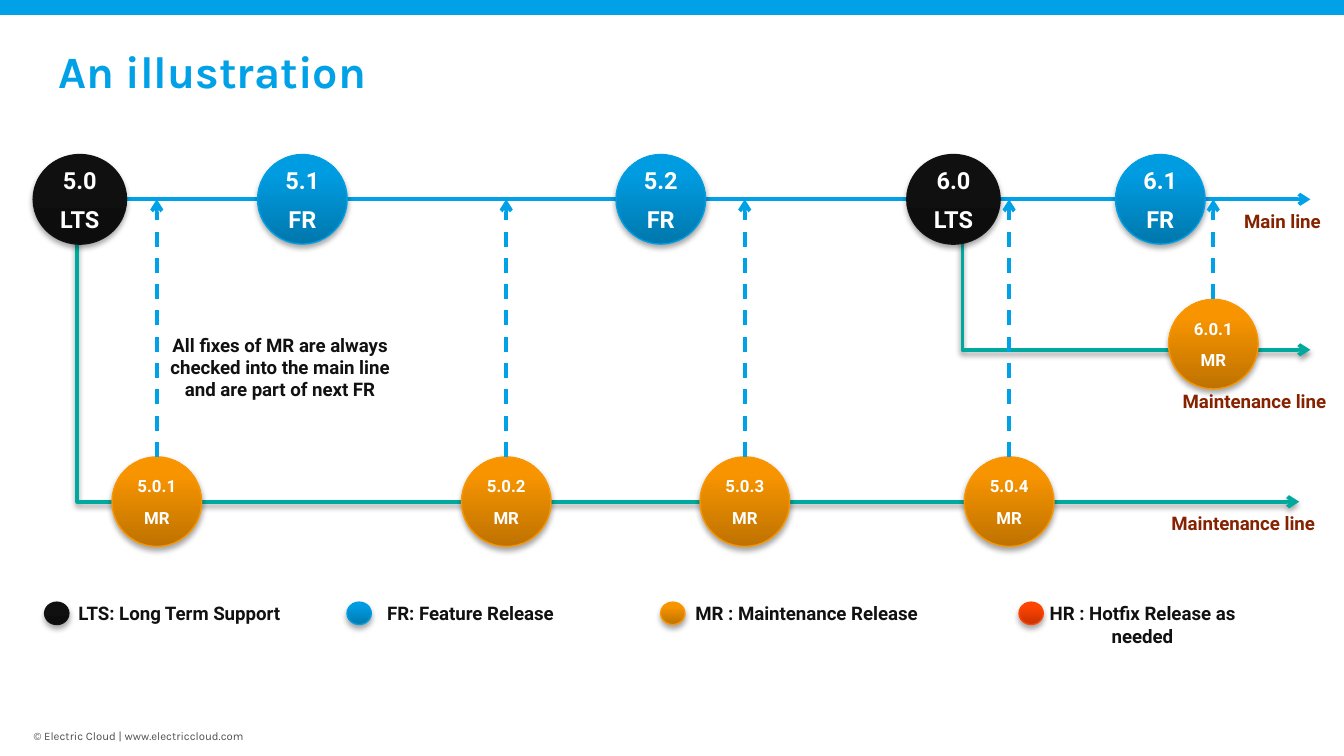
from lxml.etree import SubElement as Sub
from pptx import Presentation
from pptx.dml.color import RGBColor as RGB
from pptx.enum.dml import MSO_LINE as Dash
from pptx.enum.shapes import MSO_CONNECTOR as Con, MSO_SHAPE as Kind
from pptx.enum.text import MSO_ANCHOR as Anchor, PP_ALIGN as Align
from pptx.oxml.ns import qn
from pptx.util import Pt

BLUE, GREEN, BROWN, INK, WHITE = "01A1E7", "00A99D", "852200", "111111", "FFFFFF"
BALLS = {
    "LTS": ("0D0D0D", "101010", "111111"),
    "FR": ("0078AD", "009CE1", "009EE3"),
    "MR": ("BE7200", "F79400", "F99600"),
    "HR": ("C63200", "FF4303", "FF4505"),
}


def tint(code):
    return RGB.from_string(code)


class Board:
    """Draws styled elements on one slide, with lengths in points."""

    def __init__(self, deck):
        self.slide = deck.slides.add_slide(deck.slide_layouts[5])
        self.shapes = self.slide.shapes
        self.head, self.body = "Karla", "Roboto"

    def words(self, frame, lines, size, color, font, bold=True, align=Align.CENTER, gap=0):
        for i, line in enumerate(lines):
            para = frame.add_paragraph() if i else frame.paragraphs[0]
            para.alignment = align
            if i:
                para.space_before = Pt(gap)
            run = para.add_run()
            run.text = line
            run.font.name, run.font.size, run.font.bold = font, Pt(size), bold
            run.font.color.rgb = tint(color)

    def inset(self, frame, pad):
        frame.margin_left = frame.margin_right = Pt(pad)
        frame.margin_top = frame.margin_bottom = Pt(pad)

    def title(self, text, x, y, w, h):
        box = self.shapes.title
        box.left, box.top, box.width, box.height = Pt(x), Pt(y), Pt(w), Pt(h)
        box.text_frame.vertical_anchor = Anchor.MIDDLE
        self.words(box.text_frame, [text], 24, BLUE, self.head, align=Align.LEFT)

    def bar(self, w, h):
        bar = self.shapes.add_shape(Kind.RECTANGLE, 0, 0, Pt(w), Pt(h))
        bar.shadow.inherit = False
        bar.fill.solid()
        bar.fill.fore_color.rgb = tint(BLUE)
        bar.line.fill.background()

    def frame(self, x, y, w, h):
        frame = self.shapes.add_textbox(Pt(x), Pt(y), Pt(w), Pt(h)).text_frame
        frame.word_wrap = True
        self.inset(frame, 0)
        return frame

    def label(self, text, x, y, w, color=INK):
        self.words(self.frame(x, y, w, 18), [text], 10, color, self.body)

    def footer(self, text, x, y, w, h):
        frame = self.frame(x, y, w, h)
        frame.margin_top = Pt(1.5)
        self.words(frame, [text], 6.1, "505050", self.head, False, Align.LEFT)

    def shade(self, effect, alpha, dist):
        shade = Sub(effect, qn("a:outerShdw"), blurRad=str(Pt(3.1)), dist=str(Pt(dist)),
                    dir="5400000", rotWithShape="0")
        color = Sub(shade, qn("a:srgbClr"), val="000000")
        Sub(color, qn("a:alpha"), val=str(alpha * 1000))

    def ball(self, kind, x, y, w, h, lines=(), size=9):
        ball = self.shapes.add_shape(Kind.OVAL, Pt(x - w / 2), Pt(y - h / 2), Pt(w), Pt(h))
        low, high, edge = BALLS[kind]
        ball.fill.gradient()
        ball.fill.gradient_angle = 90
        for stop, color, spot in zip(ball.fill.gradient_stops, (low, high), (0, 0.8)):
            stop.color.rgb = tint(color)
            stop.position = spot
        ball.line.color.rgb = tint(edge)
        ball.line.width = Pt(0.75)
        ball.shadow.inherit = False
        self.shade(ball._element.spPr.find(qn("a:effectLst")), 35, 1.8)
        frame = ball.text_frame
        frame.word_wrap = False
        frame.vertical_anchor = Anchor.MIDDLE
        self.inset(frame, 6)
        self.words(frame, lines, size, WHITE, self.body, gap=6)

    def arrow(self, start, end, color=BLUE, bent=False, dash=False):
        kind = Con.ELBOW if bent else Con.STRAIGHT
        arrow = self.shapes.add_connector(kind, *map(Pt, start + end))
        arrow.line.color.rgb = tint(color)
        arrow.line.width = Pt(2)
        if dash:
            arrow.line.dash_style = Dash.DASH
        props = arrow._element.spPr
        Sub(props.find(qn("a:ln")), qn("a:tailEnd"), type="arrow")
        effect = Sub(props, qn("a:effectLst"))
        if bent:
            guides = props.find(qn("a:prstGeom")).get_or_add_avLst()
            Sub(guides, qn("a:gd"), name="adj1", fmla="val 0")
            self.shade(effect, 38, 1.6)


def main():
    deck = Presentation()
    deck.slide_width, deck.slide_height = Pt(720), Pt(405)
    board = Board(deck)
    board.bar(720, 8)
    board.title("An illustration", 24, 20, 641, 36)
    board.footer("© Electric Cloud | www.electriccloud.com", 18, 389, 132, 14)

    trunk, low = 106.8, 268.8
    board.arrow((41.4, trunk), (696, low), GREEN, bent=True)
    board.arrow((515.6, trunk), (702, 187.4), GREEN, bent=True)
    board.arrow((42, trunk), (702, trunk))

    for name, kind, x in (("5.0", "LTS", 42.8), ("5.1", "FR", 162), ("5.2", "FR", 354),
                          ("6.0", "LTS", 510.8), ("6.1", "FR", 621.6)):
        board.ball(kind, x, trunk, 50 if kind == "LTS" else 48, 48, (name, kind), 12.6)
    for name, x, y in (("5.0.1", 84, low), ("5.0.2", 271.2, low), ("5.0.3", 399, low),
                       ("5.0.4", 540.6, low), ("6.0.1", 650, 184.4)):
        board.ball("MR", x, y, 48, 48, (name, "MR"))
        board.arrow((x, y - 24), (x, trunk), dash=True)

    for text, x, y, w in (("Main line", 642, 112.4, 90),
                          ("Maintenance line", 612, 274.4, 108),
                          ("Maintenance line", 618, 208.6, 108)):
        board.label(text, x, y, w, BROWN)
    board.label("All fixes of MR are always checked into the main line "
                "and are part of next FR", 90, 178.6, 120)

    for kind, text, dot, x, w in (("LTS", "LTS: Long Term Support", 30.4, 36, 120),
                                  ("FR", "FR: Feature Release", 192.4, 192, 120),
                                  ("MR", "MR : Maintenance Release", 360.4, 366, 132),
                                  ("HR", "HR : Hotfix Release as needed", 552.4, 546, 132)):
        board.ball(kind, dot, 328.6, 13, 12)
        board.label(text, x, 322.6, w)
    deck.save("out.pptx")


if __name__ == "__main__":
    main()
